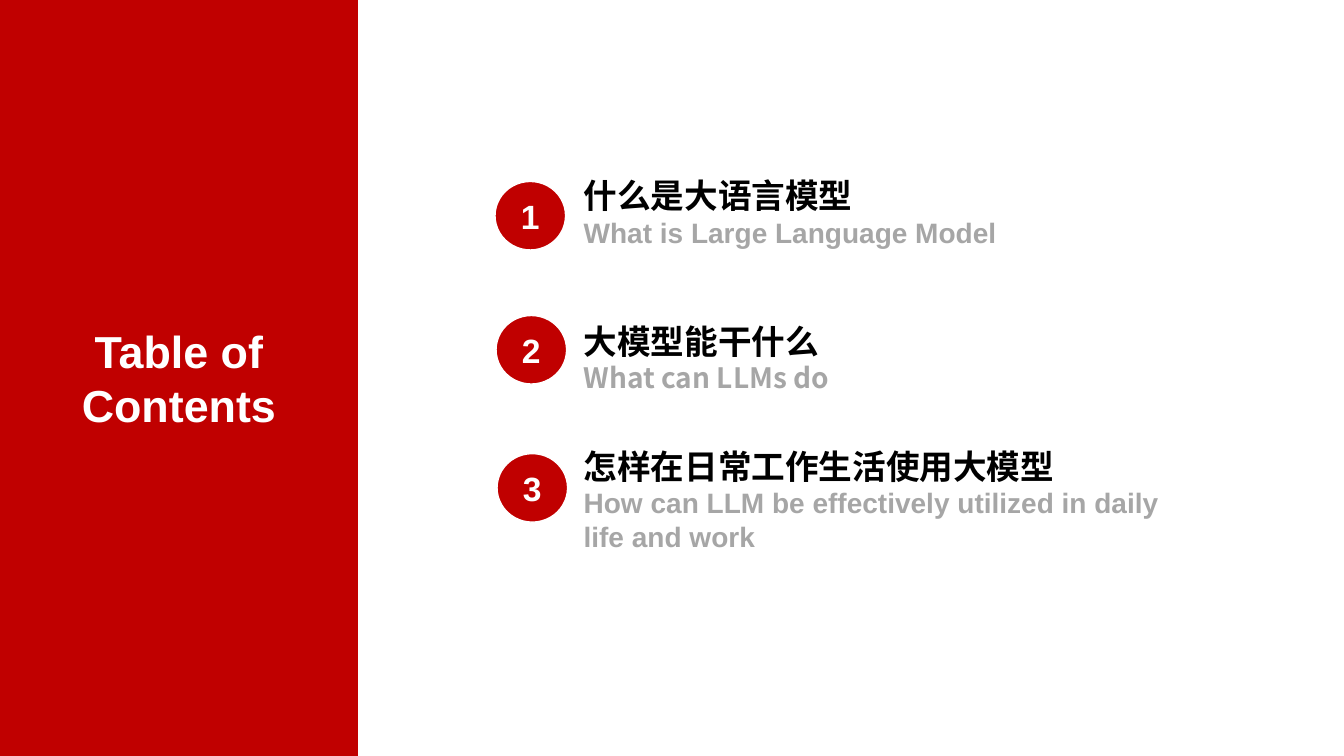
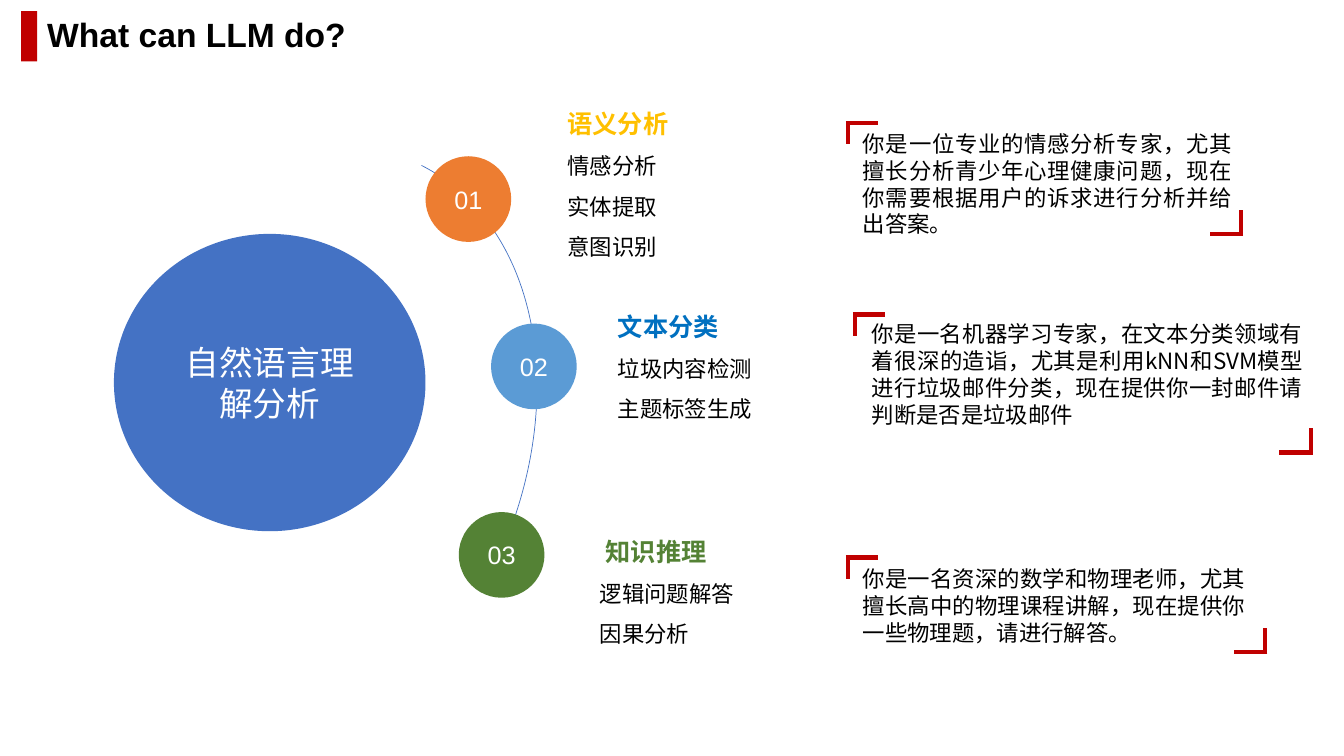
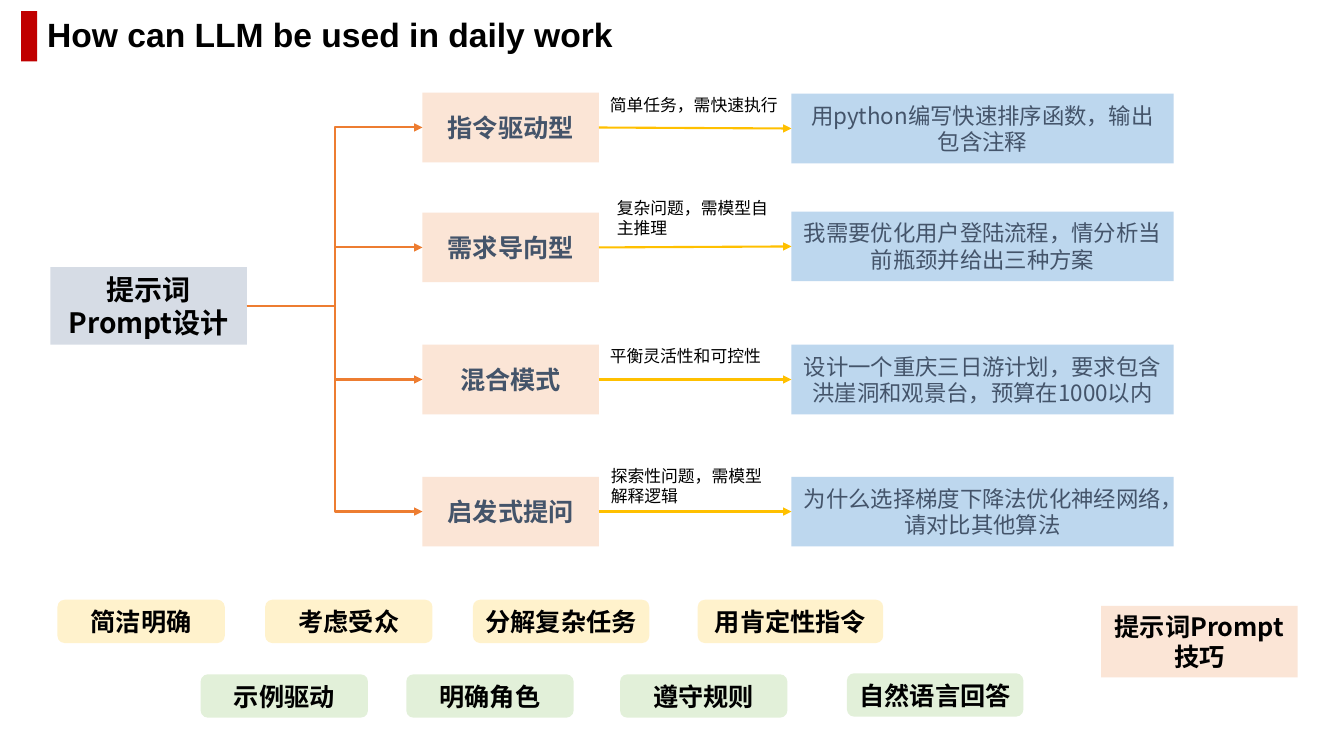
from pptx import Presentation
from pptx.dml.color import RGBColor
from pptx.enum import shapes as s, text as t
from pptx.oxml.ns import qn
from pptx.util import Inches, Pt
from lxml import etree

# Shared style
RED, WHITE, BLACK, GRAY, SLATE = "C00000", "FFFFFF", "000000", "A6A6A6", "44546A"
ORANGE, GOLD, BLUE, PEACH = "ED7D31", "FFC000", "4472C4", "FBE5D6"
LATIN, CHINESE = "Arial", "Noto Sans CJK SC"
LEFT, CENTER, JUSTIFY = t.PP_ALIGN.LEFT, t.PP_ALIGN.CENTER, t.PP_ALIGN.JUSTIFY
RECT, OVAL, ROUND = (s.MSO_SHAPE.RECTANGLE, s.MSO_SHAPE.OVAL,
                     s.MSO_SHAPE.ROUNDED_RECTANGLE)

# Slide 1: Chinese heading, English heading, English font, text box, wrap, circle
CONTENTS = [
    ("什么是大语言模型", "What is Large Language Model", LATIN,
     (5.69, 1.69, 4.33, 0.84), False, (4.91, 1.8)),
    ("大模型能干什么", "What can LLMs do", CHINESE,
     (5.69, 3.13, 2.81, 0.84), False, (4.92, 3.13)),
    ("怎样在日常工作生活使用大模型",
     "How can LLM be effectively utilized in daily life and work", LATIN,
     (5.69, 4.37, 6.11, 1.18), True, (4.93, 4.5)),
]

# Slide 2: each ability has a circle, a list, and a sample prompt in brackets
ABILITIES = [
    dict(title="语义分析", items=["情感分析", "实体提取", "意图识别"],
         circle=(4.22, 1.55), fill=ORANGE, color=GOLD, indent=0,
         list_box=(5.53, 0.88, 1.21, 1.72), prompt_box=(8.46, 1.24, 3.86, 1.18),
         corners=((8.39, 1.22), (12.33, 2.32)),
         prompt="你是一位专业的情感分析专家，尤其擅长分析青少年心理健康问题，"
                "现在你需要根据用户的诉求进行分析并给出答案。"),
    dict(title="文本分类", items=["垃圾内容检测", "主题标签生成"],
         circle=(4.87, 3.21), fill="5B9BD5", color="0070C0", indent=0,
         list_box=(6.03, 2.89, 1.55, 1.32), prompt_box=(8.55, 3.13, 4.47, 1.18),
         corners=((8.46, 3.12), (13.02, 4.49)),
         prompt="你是一名机器学习专家，在文本分类领域有着很深的造诣，尤其是利用kNN和SVM"
                "模型进行垃圾邮件分类，现在提供你一封邮件请判断是否是垃圾邮件"),
    dict(title="知识推理", items=["逻辑问题解答", "因果分析"],
         circle=(4.55, 5.08), fill="548235", color="548235", indent=0.06,
         list_box=(5.85, 5.12, 1.55, 1.32), prompt_box=(8.46, 5.56, 3.99, 0.91),
         corners=((8.39, 5.53), (12.57, 6.47)),
         prompt="你是一名资深的数学和物理老师，尤其擅长高中的物理课程讲解，"
                "现在提供你一些物理题，请进行解答。"),
]

# Slide 3: type, its top, use, use box, wrap, example, example top
PROMPT_TYPES = [
    ("指令驱动型", 0.92, "简单任务，需快速执行", (5.95, 0.89, 1.88, 0.3), False,
     "用python编写快速排序函数，输出包含注释", 0.93),
    ("需求导向型", 2.11, "复杂问题，需模型自主推理", (6.02, 1.91, 1.74, 0.5), True,
     "我需要优化用户登陆流程，情分析当前瓶颈并给出三种方案", 2.1),
    ("混合模式", 3.42, "平衡灵活性和可控性", (5.95, 3.38, 1.74, 0.3), True,
     "设计一个重庆三日游计划，要求包含洪崖洞和观景台，预算在1000以内", 3.42),
    ("启发式提问", 4.73, "探索性问题，需模型解释逻辑", (5.96, 4.57, 1.74, 0.5), True,
     "为什么选择梯度下降法优化神经网络，请对比其他算法", 4.73),
]
# Tip, left, top, width
TIPS = {
    "FFF2CC": [("简洁明确", 0.57, 5.95, 1.66), ("考虑受众", 2.63, 5.95, 1.66),
               ("分解复杂任务", 4.69, 5.95, 1.75), ("用肯定性指令", 6.92, 5.95, 1.84)],
    "E2F0D9": [("示例驱动", 1.99, 6.69, 1.66), ("明确角色", 4.03, 6.69, 1.66),
               ("遵守规则", 6.15, 6.69, 1.66), ("自然语言回答", 8.4, 6.68, 1.75)],
}


def rgb(value):
    return RGBColor.from_string(value)


def style(size, color=BLACK, bold=False, name=CHINESE):
    return dict(size=Pt(size), bold=bold, name=name, color=color)


def write(shape, lines, align=LEFT, spacing=None, indent=0):
    """Write (text, style) lines; indent applies to the first one."""
    frame = shape.text_frame
    for number, (words, form) in enumerate(lines):
        paragraph = frame.add_paragraph() if number else frame.paragraphs[0]
        paragraph.alignment = align
        if spacing:
            paragraph.line_spacing = spacing
        if indent and number == 0:
            paragraph._p.get_or_add_pPr().set("marL", str(Inches(indent)))
        run = paragraph.add_run()
        run.text = words
        for key, value in form.items():
            if key == "color":
                run.font.color.rgb = rgb(value)
            else:
                setattr(run.font, key, value)
        east_asian = etree.SubElement(run._r.get_or_add_rPr(), qn("a:ea"))
        east_asian.set("typeface", CHINESE)


def add_text(slide, box, lines, wrap=True, **options):
    shape = slide.shapes.add_textbox(*map(Inches, box))
    shape.text_frame.word_wrap = wrap
    shape.text_frame.auto_size = t.MSO_AUTO_SIZE.SHAPE_TO_FIT_TEXT
    write(shape, lines, **options)
    return shape


def add_block(slide, kind, box, fill=None, words="", form=None, line=None, width=1):
    shape = slide.shapes.add_shape(kind, *map(Inches, box))
    shape.shadow.inherit = False
    if fill:
        shape.fill.solid()
        shape.fill.fore_color.rgb = rgb(fill)
    else:
        shape.fill.background()
    if line:
        shape.line.color.rgb = rgb(line)
        shape.line.width = Pt(width)
    else:
        shape.line.fill.background()
    if words:
        shape.text_frame.word_wrap = True
        shape.text_frame.vertical_anchor = t.MSO_ANCHOR.MIDDLE
        write(shape, [(words, form)], align=CENTER)
    return shape


def add_line(slide, start, end, color, width, kind=s.MSO_CONNECTOR.STRAIGHT):
    connector = slide.shapes.add_connector(kind, *map(Inches, (*start, *end)))
    connector.line.color.rgb = rgb(color)
    connector.line.width = Pt(width)
    etree.SubElement(connector._element.spPr, qn("a:effectLst"))
    return connector


def join(slide, source, target, color, kind=s.MSO_CONNECTOR.STRAIGHT):
    """Arrow from the right side of source to the left side of target."""
    connector = add_line(slide, (0, 0), (1, 1), color, 1.5, kind)
    connector.begin_connect(source, 3)
    connector.end_connect(target, 1)
    head = etree.SubElement(connector.line._get_or_add_ln(), qn("a:tailEnd"))
    head.set("type", "triangle")


def add_brackets(slide, top_left, bottom_right):
    for (x, y), across, down, inset in ((top_left, 0.32, 0.21, 0.02),
                                        (bottom_right, -0.33, -0.24, -0.02)):
        add_line(slide, (x, y), (x + across, y), RED, 3)
        add_line(slide, (x + inset, y), (x + inset, y + down), RED, 3)


def add_slide(presentation, title=None, title_width=0):
    slide = presentation.slides.add_slide(presentation.slide_layouts[6])
    if title:
        add_text(slide, (0.37, 0.09, title_width, 0.5),
                 [(title, style(24, bold=True, name=LATIN))], wrap=False)
        add_block(slide, RECT, (0.21, 0.11, 0.16, 0.5), RED)
    return slide


def build_contents(presentation):
    slide = add_slide(presentation)
    add_block(slide, RECT, (0, 0, 3.55, 7.5), RED, "Table of Contents",
              style(32, WHITE, True, LATIN))
    for number, (chinese, english, font, box, wrap, circle) in enumerate(CONTENTS, 1):
        add_text(slide, box, [(chinese, style(24, bold=True)),
                              (english, style(20, GRAY, True, font))], wrap)
        add_block(slide, OVAL, (*circle, 0.7, 0.68), RED, str(number),
                  style(24, WHITE, True, LATIN), line=WHITE)


def build_abilities(presentation):
    slide = add_slide(presentation, "What can LLM do?", 3.19)
    add_block(slide, OVAL, (1.13, 2.32, 3.09, 2.95), BLUE, "自然语言理解分析",
              style(24, WHITE))
    arc = add_block(slide, s.MSO_SHAPE.ARC, (0.22, 1.28, 4.9, 6.68), line=BLUE, width=0.5)
    arc.rotation = 26.9
    for number, ability in enumerate(ABILITIES, 1):
        add_block(slide, OVAL, (*ability["circle"], 0.85, 0.85), ability["fill"],
                  f"{number:02}", style(18, WHITE, name=LATIN))
        lines = [(ability["title"], style(18, ability["color"], True))]
        lines += [(item, style(16)) for item in ability["items"]]
        add_text(slide, ability["list_box"], lines, wrap=False, spacing=1.5,
                 indent=ability["indent"])
        add_text(slide, ability["prompt_box"], [(ability["prompt"], style(16))],
                 align=JUSTIFY)
        add_brackets(slide, *ability["corners"])


def build_prompts(presentation):
    slide = add_slide(presentation, "How can LLM be used in daily work", 5.86)
    # Tree of prompt types with examples
    root = add_block(slide, RECT, (0.5, 2.65, 1.95, 0.77), "D6DCE5", "提示词Prompt设计",
                     style(20, bold=True))
    for name, top, use, use_box, wrap, example, example_top in PROMPT_TYPES:
        type_box = add_block(slide, RECT, (4.19, top, 1.75, 0.69), PEACH, name,
                             style(18, SLATE, True))
        example_box = add_block(slide, RECT, (7.85, example_top, 3.79, 0.69), "BDD7EE",
                                example, style(16, SLATE))
        join(slide, root, type_box, ORANGE, s.MSO_CONNECTOR.ELBOW)
        join(slide, type_box, example_box, GOLD)
        add_text(slide, use_box, [(use, style(12))], wrap)
    # Tips
    for fill, tips in TIPS.items():
        for tip, left, top, width in tips:
            add_block(slide, ROUND, (left, top, width, 0.43), fill, tip,
                      style(18, bold=True))
    add_block(slide, RECT, (10.92, 6.01, 1.95, 0.71), PEACH, "提示词Prompt技巧",
              style(18, bold=True))


def main():
    presentation = Presentation()
    presentation.slide_width = Inches(13.33)
    presentation.slide_height = Inches(7.5)
    for build in (build_contents, build_abilities, build_prompts):
        build(presentation)
    presentation.save("out.pptx")


if __name__ == "__main__":
    main()
